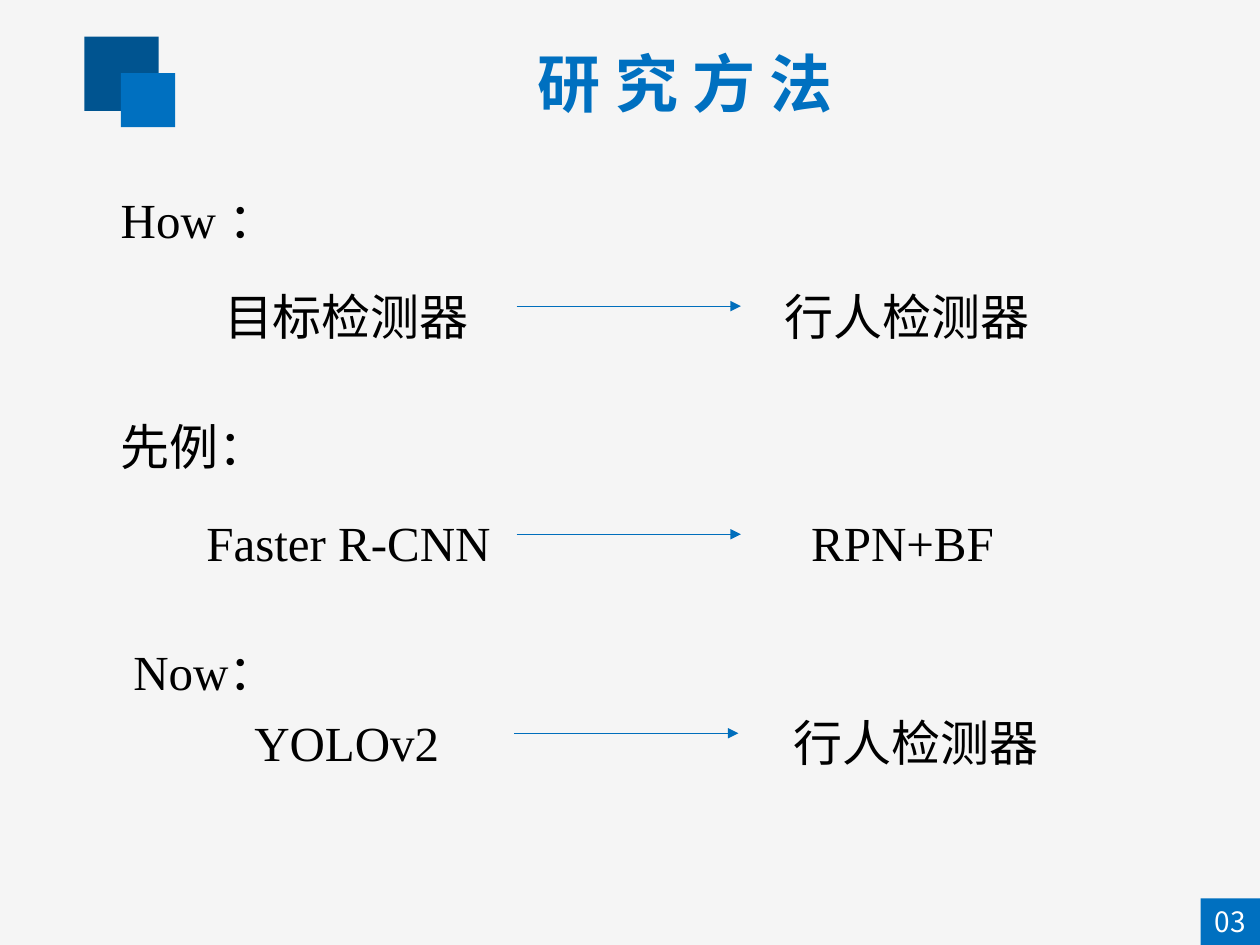
from dataclasses import dataclass

from lxml import etree
from pptx import Presentation
from pptx.dml.color import RGBColor
from pptx.enum import shapes, text
from pptx.oxml.ns import qn
from pptx.util import Inches, Pt


@dataclass(frozen=True)
class Theme:
    background: str = "F5F5F5"
    dark: str = "005490"
    accent: str = "0070C0"
    arrow: str = "006EBC"
    ink: str = "000000"
    white: str = "FFFFFF"
    serif: str = "Times New Roman"
    sans: str = "Calibri"
    cjk: str = "Noto Sans CJK SC"
    title_size: int = 36
    body_size: int = 28
    page_size: int = 16


THEME = Theme()


def add_text(p, words, font=THEME.sans, size=THEME.body_size,
             color=THEME.ink, bold=False):
    r = p.add_run()
    r.text = words
    r.font.name = font
    r.font.size = Pt(size)
    r.font.bold = bold
    r.font.color.rgb = RGBColor.from_string(color)
    etree.SubElement(r.font._element, qn("a:ea"), typeface=THEME.cjk)


def add_square(s, left, top, width, height, color):
    sp = s.shapes.add_shape(shapes.MSO_SHAPE.RECTANGLE, Inches(left),
                            Inches(top), Inches(width), Inches(height))
    sp.shadow.inherit = False
    sp.fill.solid()
    sp.fill.fore_color.rgb = RGBColor.from_string(color)
    sp.line.fill.background()
    return sp


def add_arrow(s, left, top, length):
    line = s.shapes.add_connector(shapes.MSO_CONNECTOR.STRAIGHT, Inches(left),
                                  Inches(top), Inches(left + length), Inches(top))
    line.line.color.rgb = RGBColor.from_string(THEME.arrow)
    line.line.width = Pt(0.75)
    etree.SubElement(line.line._get_or_add_ln(), qn("a:tailEnd"), type="triangle")
    etree.SubElement(line._element.spPr, qn("a:effectLst"))


def add_tab_stops(p, stops):
    tabs = etree.SubElement(p._p.get_or_add_pPr(), qn("a:tabLst"))
    for stop in stops:
        etree.SubElement(tabs, qn("a:tab"), pos=str(Inches(stop)), algn="l")


def add_header(s, left, top, width, height):
    add_square(s, 0.67, 0.29, 0.59, 0.59, THEME.dark)
    add_square(s, 0.96, 0.58, 0.43, 0.43, THEME.accent)
    title = s.shapes.title
    title.left, title.top = Inches(left), Inches(top)
    title.width, title.height = Inches(width), Inches(height)
    tf = title.text_frame
    tf.auto_size = text.MSO_AUTO_SIZE.NONE
    tf.vertical_anchor = text.MSO_ANCHOR.MIDDLE
    p = tf.paragraphs[0]
    p.alignment = text.PP_ALIGN.CENTER
    add_text(p, "研 究 方 法", THEME.cjk, THEME.title_size, THEME.accent, bold=True)


def add_step(s, left, top, width, height, heading, source, target, stops,
             gap, arrow):
    """Heading line, then source and target on tab stops joined by an arrow."""
    box = s.shapes.add_textbox(Inches(left), Inches(top), Inches(width), Inches(height))
    tf = box.text_frame
    tf.word_wrap = True
    tf.auto_size = text.MSO_AUTO_SIZE.SHAPE_TO_FIT_TEXT
    first, second = tf.paragraphs[0], tf.add_paragraph()
    first.line_spacing = second.line_spacing = 1.2
    for words, font in heading:
        add_text(first, words, font)
    second.space_before = Pt(gap)
    add_tab_stops(second, stops)
    for words, font in (source, target):
        add_text(second, "\t" + words, font)
    add_arrow(s, *arrow, 1.78)


def add_page_number(s, left, top, width, height, number):
    tf = add_square(s, left, top, width, height, THEME.accent).text_frame
    tf.margin_left = tf.margin_right = tf.margin_top = tf.margin_bottom = 0
    tf.vertical_anchor = text.MSO_ANCHOR.MIDDLE
    p = tf.paragraphs[0]
    p.alignment = text.PP_ALIGN.CENTER
    add_text(p, number, THEME.cjk, THEME.page_size, THEME.white)


def main():
    prs = Presentation()
    prs.slide_width, prs.slide_height = Inches(10), Inches(7.5)
    s = prs.slides.add_slide(prs.slide_layouts[5])
    s.background.fill.solid()
    s.background.fill.fore_color.rgb = RGBColor.from_string(THEME.background)

    add_header(s, 1.55, 0.3, 7.78, 0.71)
    add_step(s, 0.86, 1.36, 8.31, 1.43,
             heading=[("How ", THEME.serif), ("：", THEME.sans)],
             source=("目标检测器", THEME.sans), target=("行人检测器", THEME.sans),
             stops=(0.82, 5.27), gap=15, arrow=(4.1, 2.43))
    add_step(s, 0.86, 3.16, 8.31, 1.43,
             heading=[("先例：", THEME.sans)],
             source=("Faster R-CNN", THEME.serif), target=("RPN+BF", THEME.serif),
             stops=(0.68, 5.48), gap=15, arrow=(4.1, 4.24))
    add_step(s, 0.96, 4.95, 8.31, 1.23,
             heading=[("Now：", THEME.serif)],
             source=("YOLOv2", THEME.serif), target=("行人检测器", THEME.sans),
             stops=(0.96, 5.24), gap=0, arrow=(4.08, 5.82))
    add_page_number(s, 9.53, 7.13, 0.47, 0.37, "03")
    prs.save("out.pptx")


if __name__ == "__main__":
    main()
